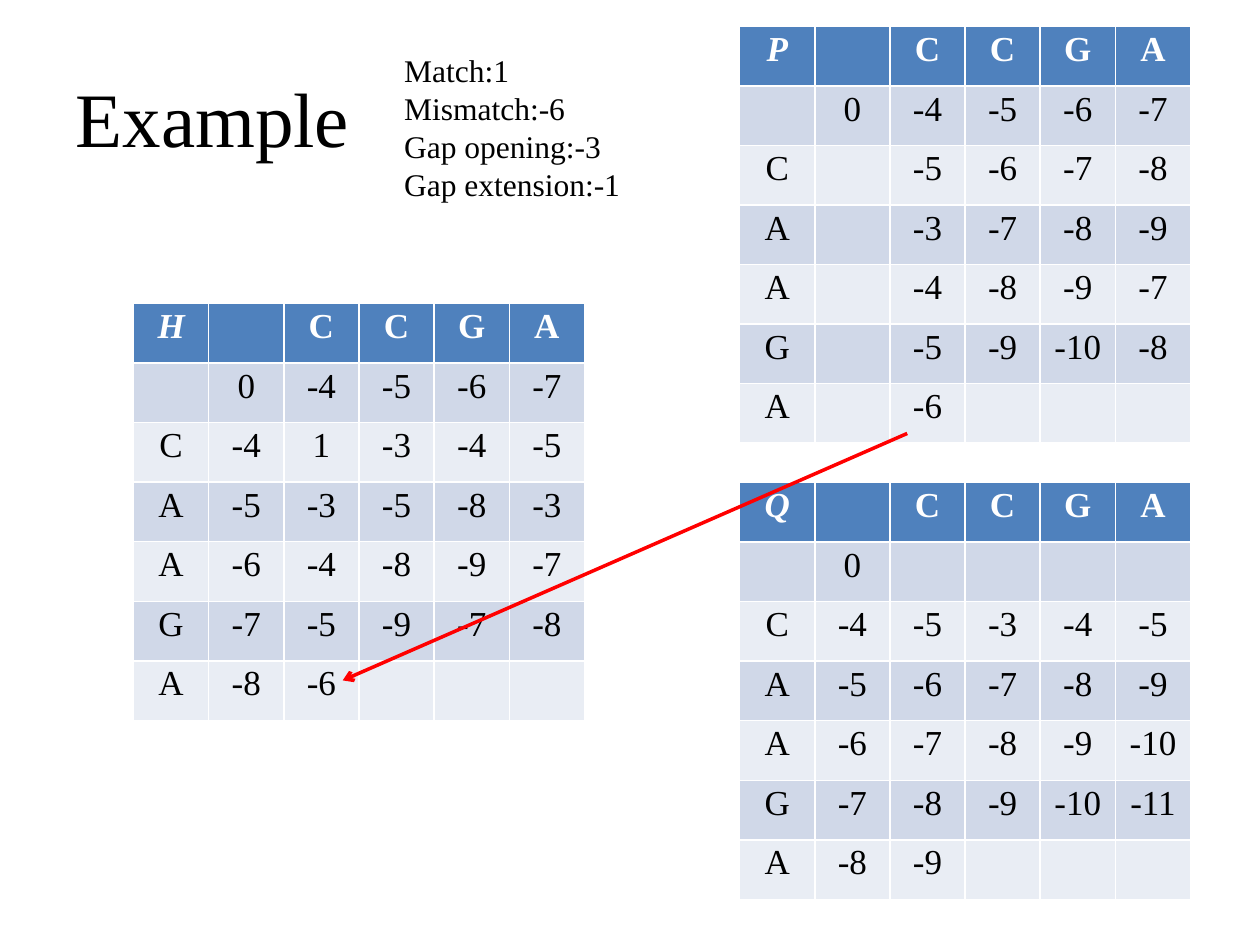
from dataclasses import dataclass

from lxml import etree
from pptx import Presentation
from pptx.dml.color import RGBColor
from pptx.enum.shapes import MSO_CONNECTOR
from pptx.enum.text import MSO_ANCHOR, MSO_AUTO_SIZE, PP_ALIGN
from pptx.oxml.ns import qn
from pptx.util import Emu, Inches, Pt

STRAIGHT = MSO_CONNECTOR.STRAIGHT
MIDDLE = MSO_ANCHOR.MIDDLE
GROW = MSO_AUTO_SIZE.SHAPE_TO_FIT_TEXT
LEFT, CENTER = PP_ALIGN.LEFT, PP_ALIGN.CENTER

SLIDE_WIDTH, SLIDE_HEIGHT = Inches(10), Inches(7.5)
FONT = "Times New Roman"
BLACK, WHITE, RED = "000000", "FFFFFF", "FF0000"
HEADER_FILL = "4F81BD"
BAND_FILLS = ("E9EDF4", "D0D8E8")  # even rows, odd rows

COLUMN_SEQUENCE = "CCGA"
ROW_SEQUENCE = "CAAGA"
MATRIX_WIDTH, MATRIX_HEIGHT = 35.8, 44.13  # percent of the slide


@dataclass
class Matrix:
    name: str
    left: float  # percent of slide width
    top: float  # percent of slide height
    scores: str  # one line per row, "." for an empty cell

    def rows(self) -> list[list[str]]:
        """Header row, then the scores with their sequence letters."""
        header = [self.name, "", *COLUMN_SEQUENCE]
        body = [
            [letter, *("" if score == "." else score for score in line.split())]
            for letter, line in zip(["", *ROW_SEQUENCE], self.scores.strip().splitlines())
        ]
        return [header, *body]


H = Matrix("H", 10.6, 32.13, """
 0 -4 -5 -6 -7
-4  1 -3 -4 -5
-5 -3 -5 -8 -3
-6 -4 -8 -9 -7
-7 -5 -9 -7 -8
-8 -6  .  .  .
""")
P = Matrix("P", 58.7, 2.8, """
0 -4 -5  -6 -7
. -5 -6  -7 -8
. -3 -7  -8 -9
. -4 -8  -9 -7
. -5 -9 -10 -8
. -6  .   .  .
""")
Q = Matrix("Q", 58.7, 51.07, """
 0  .  .   .   .
-4 -5 -3  -4  -5
-5 -6 -7  -8  -9
-6 -7 -8  -9 -10
-7 -8 -9 -10 -11
-8 -9  .   .   .
""")
SCORING = ("Match:1", "Mismatch:-6", "Gap opening:-3", "Gap extension:-1")


def across(percent: float) -> Emu:
    return Emu(round(SLIDE_WIDTH * percent / 100))


def down(percent: float) -> Emu:
    return Emu(round(SLIDE_HEIGHT * percent / 100))


def color(hex_value: str) -> RGBColor:
    return RGBColor.from_string(hex_value)


def style(paragraph, size: float, hex_value: str, align, bold=False, italic=False) -> None:
    paragraph.alignment = align
    font = paragraph.font
    font.name, font.size = FONT, Pt(size)
    font.bold, font.italic = bold, italic
    font.color.rgb = color(hex_value)


def add_title(slide, text: str) -> None:
    title = slide.shapes.title
    title.left, title.top = across(5), down(4)
    title.width, title.height = across(90), down(16.67)
    title.text_frame.text = text
    title.text_frame.vertical_anchor = MIDDLE
    style(title.text_frame.paragraphs[0], 44, BLACK, LEFT)


def add_scoring(slide, lines: tuple[str, ...]) -> None:
    box = slide.shapes.add_textbox(across(31.1), down(4.8), across(19.3), down(17.47))
    frame = box.text_frame
    frame.word_wrap = False
    frame.auto_size = GROW
    frame.text = "\n".join(lines)
    for paragraph in frame.paragraphs:
        style(paragraph, 18, BLACK, LEFT)


def add_matrix(slide, matrix: Matrix) -> None:
    rows = matrix.rows()
    table = slide.shapes.add_table(
        len(rows), len(rows[0]), across(matrix.left), down(matrix.top),
        across(MATRIX_WIDTH), down(MATRIX_HEIGHT),
    ).table
    for r, row in enumerate(rows):
        is_header = r == 0
        for c, text in enumerate(row):
            cell = table.cell(r, c)
            cell.margin_left = cell.margin_right = Inches(0.06)
            cell.margin_top = cell.margin_bottom = Inches(0.03)
            cell.fill.solid()
            cell.fill.fore_color.rgb = color(HEADER_FILL if is_header else BAND_FILLS[r % 2])
            cell.text = text
            style(cell.text_frame.paragraphs[0], 20, WHITE if is_header else BLACK,
                  CENTER, bold=is_header, italic=is_header and c == 0)


def add_arrow(slide, start: tuple[float, float], end: tuple[float, float]) -> None:
    arrow = slide.shapes.add_connector(
        STRAIGHT, across(start[0]), down(start[1]), across(end[0]), down(end[1]))
    arrow.line.color.rgb = color(RED)
    arrow.line.width = Pt(2)
    outline = arrow.line._get_or_add_ln()
    etree.SubElement(outline, qn("a:tailEnd"), type="arrow")
    etree.SubElement(outline.getparent(), qn("a:effectLst"))


def main() -> None:
    deck = Presentation()
    deck.slide_width, deck.slide_height = SLIDE_WIDTH, SLIDE_HEIGHT
    slide = deck.slides.add_slide(deck.slide_layouts[5])

    # Heading and scoring scheme
    add_title(slide, "Example")
    add_scoring(slide, SCORING)

    # Alignment matrices
    for matrix in (H, P, Q):
        add_matrix(slide, matrix)

    # Last P score carried over to H
    add_arrow(slide, (72, 45.87), (27.2, 72))

    deck.save("out.pptx")


if __name__ == "__main__":
    main()
